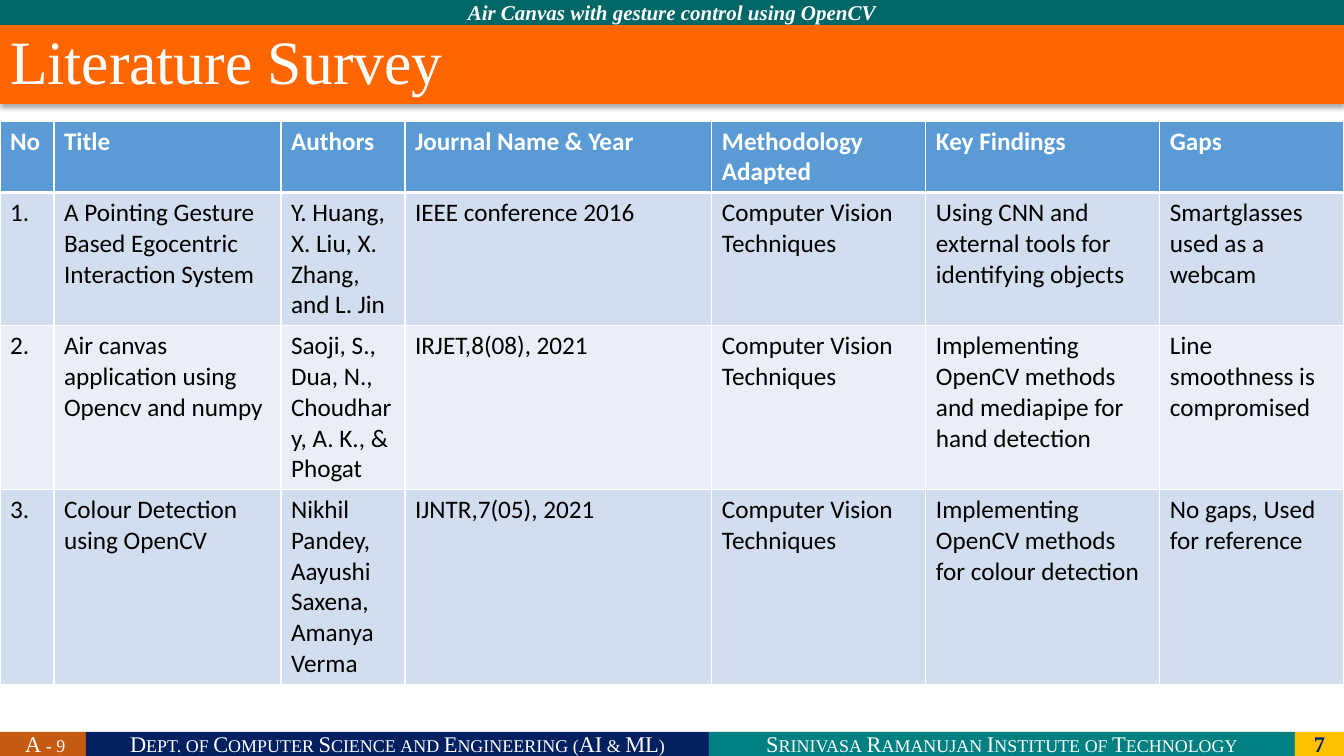
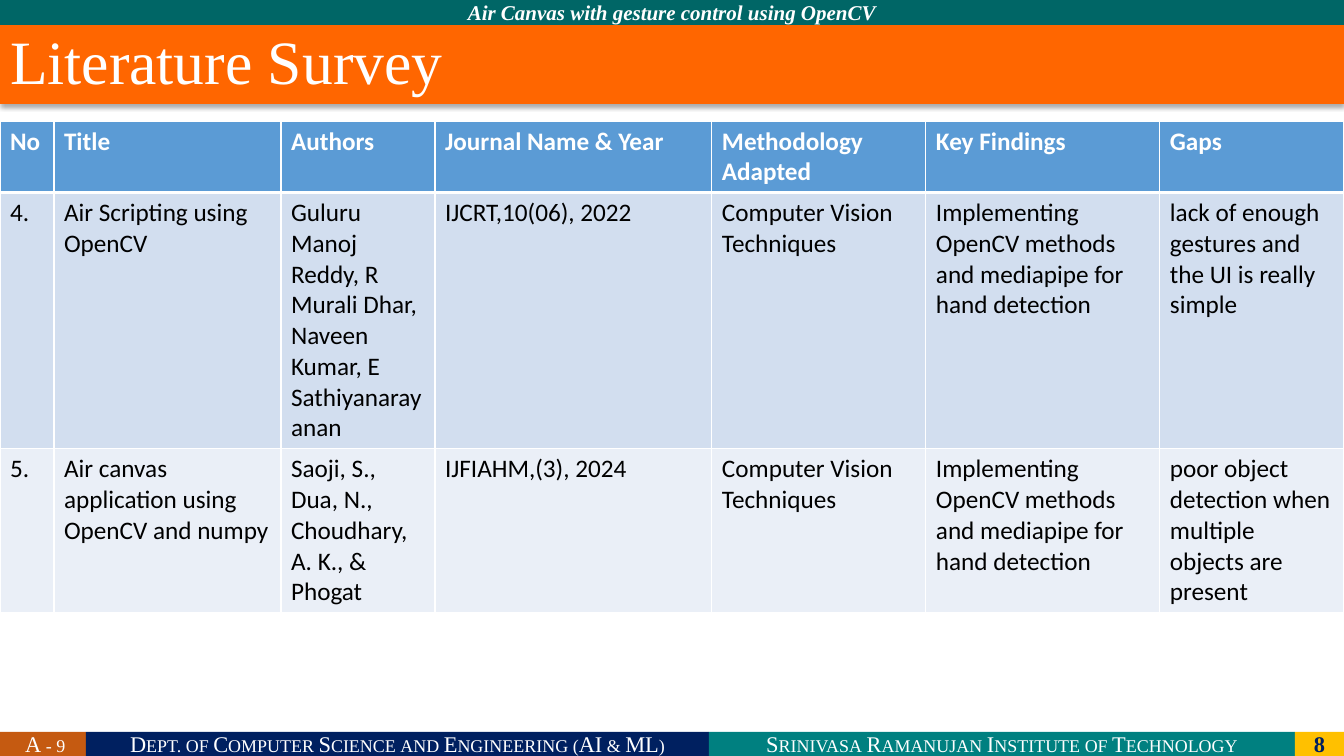
from dataclasses import dataclass

from lxml.etree import SubElement
from pptx import Presentation
from pptx.dml.color import RGBColor as RGB
from pptx.enum.shapes import MSO_SHAPE as Shape
from pptx.enum.text import MSO_ANCHOR as Anchor, MSO_AUTO_SIZE as Fit, PP_ALIGN as Align
from pptx.oxml.ns import qn
from pptx.util import Pt

WIDE, HIGH = 1344, 756
SCALE = 12192000 / WIDE


def px(n):
    return round(n * SCALE)


@dataclass(frozen=True)
class Theme:
    serif: str = "Times New Roman"
    sans: str = "Calibri"
    white: str = "FFFFFF"
    black: str = "000000"
    navy: str = "002060"
    teal: str = "008080"
    pine: str = "006666"
    gold: str = "FFC000"
    rust: str = "C55A11"
    orange: str = "FF6600"
    head: str = "5B9BD5"
    bands: tuple = ("D2DEEF", "EAEFF7")
    title: int = 44
    cell: int = 18
    foot: int = 16
    top: int = 15


class Deck:
    def __init__(self, theme):
        self.theme = theme
        self.prs = Presentation()
        self.prs.slide_width, self.prs.slide_height = px(WIDE), px(HIGH)
        self.slide = None

    def page(self, title, num):
        """Start a slide with its title, top band and footer."""
        t = self.theme
        self.slide = self.prs.slides.add_slide(self.prs.slide_layouts[5])
        self.band(0, 0, WIDE, 25, t.pine, "Air Canvas with gesture control using OpenCV",
                  t.top, bold=True, italic=True)
        foot = (
            (86, t.rust, " A - 9"),
            (623, t.navy, "Dept. of Computer Science and Engineering (AI & ML)"),
            (586, t.teal, "Srinivasa Ramanujan Institute of Technology"),
        )
        left, top, tall = 0, 732, 24
        for wide, fill, text in foot:
            self.band(left, top, wide, tall, fill, text, t.foot, caps=True)
            left += wide
        self.band(left, top, WIDE - left, tall, t.gold, str(num), t.foot,
                  color=t.navy, bold=True)
        self.title(title)

    def run(self, para, text, size, color, face, bold=False, italic=False, caps=False):
        run = para.add_run()
        run.text = text
        font = run.font
        font.name, font.size, font.bold, font.italic = face, Pt(size), bold, italic
        font.color.rgb = RGB.from_string(color)
        if caps:
            font._element.set("cap", "small")

    def paint(self, item, color):
        item.fill.solid()
        item.fill.fore_color.rgb = RGB.from_string(color)

    def band(self, left, top, wide, tall, fill, text, size, color=None, **style):
        """Add a filled strip with centred text."""
        box = self.slide.shapes.add_shape(Shape.RECTANGLE, px(left), px(top), px(wide), px(tall))
        box.shadow.inherit = False
        self.paint(box, fill)
        box.line.fill.background()
        frame = box.text_frame
        frame.word_wrap = True
        frame.vertical_anchor = Anchor.MIDDLE
        frame.margin_left = frame.margin_right = frame.margin_top = frame.margin_bottom = 0
        para = frame.paragraphs[0]
        para.alignment = Align.CENTER
        self.run(para, text, size, color or self.theme.white, self.theme.serif, **style)

    def title(self, text):
        t = self.theme
        box = self.slide.shapes.title
        box.left, box.top, box.width, box.height = 0, px(25), px(WIDE), px(79)
        self.paint(box, t.orange)
        box.line.fill.background()
        self.shade(box)
        frame = box.text_frame
        frame.auto_size = Fit.NONE
        frame.vertical_anchor = Anchor.MIDDLE
        para = frame.paragraphs[0]
        para.alignment = Align.LEFT
        para.line_spacing = 0.9
        self.run(para, text, t.title, t.white, t.serif)

    def shade(self, box):
        """Add a soft shadow below the box."""
        box.shadow.inherit = False
        glow = box._element.spPr.find(qn("a:effectLst"))
        drop = SubElement(glow, qn("a:outerShdw"), blurRad=str(Pt(3.5)), dist=str(Pt(2.2)),
                          dir="5400000", algn="t", rotWithShape="0")
        tint = SubElement(drop, qn("a:srgbClr"), val=self.theme.black)
        SubElement(tint, qn("a:alpha"), val="32000")

    def edge(self, cell, row):
        """Draw the cell borders, heavy between header and body."""
        props = cell._tc.get_or_add_tcPr()
        heavy = {0: "B", 1: "T"}.get(row)
        for side in "LRTB":
            line = SubElement(props, qn("a:ln" + side), w=str(Pt(3 if side == heavy else 1)))
            fill = SubElement(line, qn("a:solidFill"))
            SubElement(fill, qn("a:srgbClr"), val=self.theme.white)

    def table(self, cols, lines, rows):
        """Add a table; lines gives each row's height in lines of text."""
        t = self.theme
        tall = [10 + 27 * n for n in lines]
        grid = self.slide.shapes.add_table(len(rows), len(cols), 0, px(121),
                                           px(sum(cols)), px(sum(tall))).table
        for col, wide in zip(grid.columns, cols):
            col.width = px(wide)
        for r, texts in enumerate(rows):
            grid.rows[r].height = px(tall[r])
            head = r == 0
            fill = t.head if head else t.bands[(r - 1) % 2]
            color = t.white if head else t.black
            for c, text in enumerate(texts):
                cell = grid.cell(r, c)
                self.edge(cell, r)
                self.paint(cell, fill)
                frame = cell.text_frame
                for i, part in enumerate(text.split("\n")):
                    para = frame.add_paragraph() if i else frame.paragraphs[0]
                    self.run(para, part, t.cell, color, t.sans, bold=head)


HEAD = ("No", "Title", "Authors", "Journal Name & Year", "Methodology Adapted",
        "Key Findings", "Gaps")
VISION = "Computer Vision Techniques"
HANDS = "Implementing OpenCV methods and mediapipe for hand detection"
SAOJI = "Saoji, S., Dua, N., Choudhary, A. K., & Phogat"

EARLY = (
    ("1.", "A Pointing Gesture Based Egocentric Interaction System",
     "Y. Huang, X. Liu, X. Zhang, and L. Jin", "IEEE conference 2016", VISION,
     "Using CNN and external tools for identifying objects",
     "Smartglasses used as a webcam"),
    ("2.", "Air canvas application using Opencv and numpy", SAOJI,
     "IRJET,8(08), 2021", VISION, HANDS, "Line smoothness is compromised"),
    ("3.", "Colour Detection using OpenCV",
     "Nikhil Pandey, Aayushi Saxena, Amanya Verma", "IJNTR,7(05), 2021", VISION,
     "Implementing OpenCV methods for colour detection", "No gaps, Used for reference"),
)
LATE = (
    ("4.", "Air Scripting using OpenCV",
     "Guluru Manoj Reddy, R Murali Dhar, Naveen Kumar, E Sathiyanarayanan",
     "IJCRT,10(06), 2022", VISION, HANDS,
     "lack of enough gestures and\nthe UI is really simple"),
    ("5.", "Air canvas application using OpenCV and numpy", SAOJI,
     "IJFIAHM,(3), 2024", VISION, HANDS,
     "poor object detection when multiple objects are present"),
)


def main():
    deck = Deck(Theme())
    pages = ((7, 124, (2, 4, 5, 6), EARLY), (8, 154, (2, 4, 5), LATE))
    for num, names, lines, rows in pages:
        deck.page("Literature Survey", num)
        deck.table((54, 227, names, 431 - names, 214, 234, 184), lines, (HEAD, *rows))
    deck.prs.save("out.pptx")


if __name__ == "__main__":
    main()
